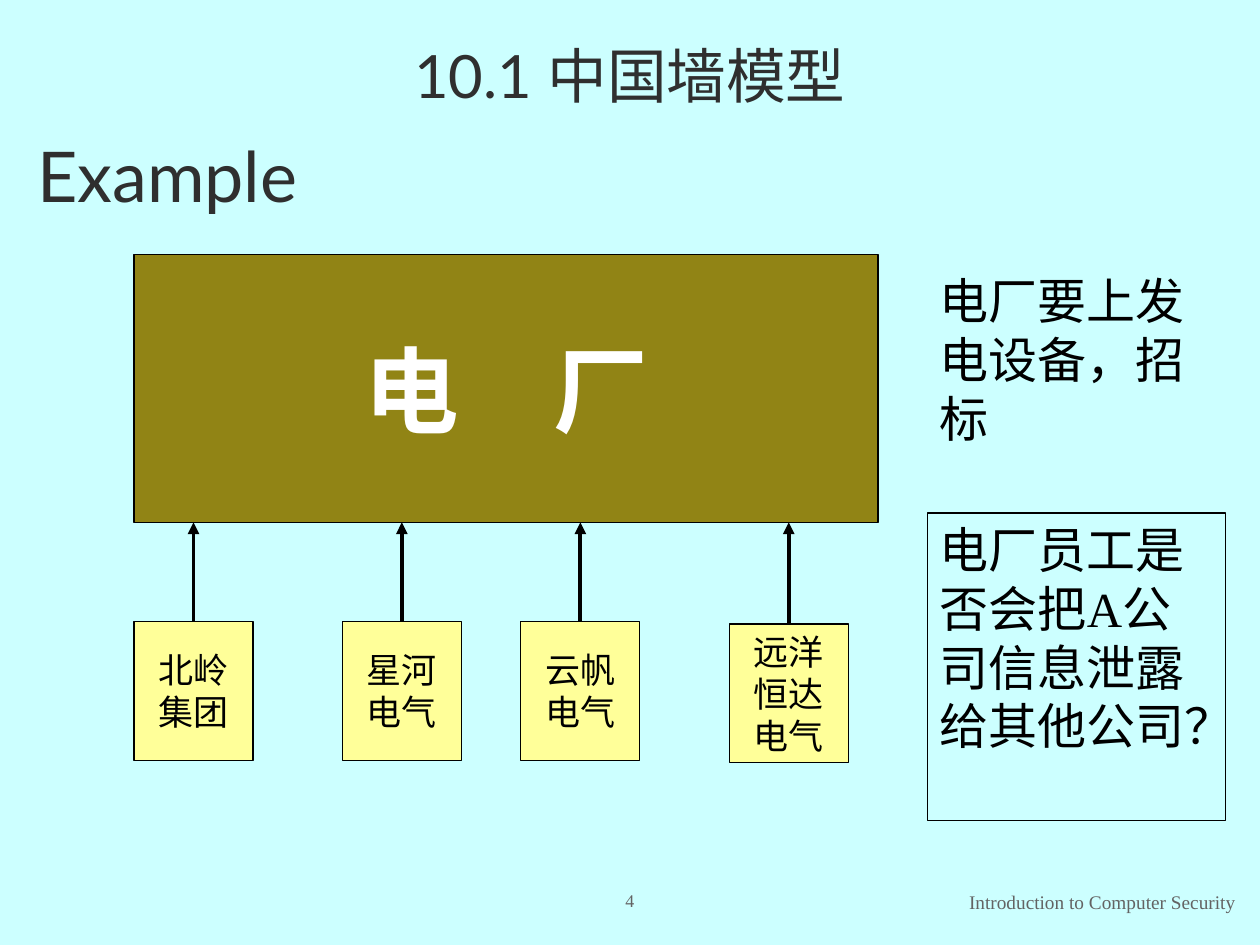
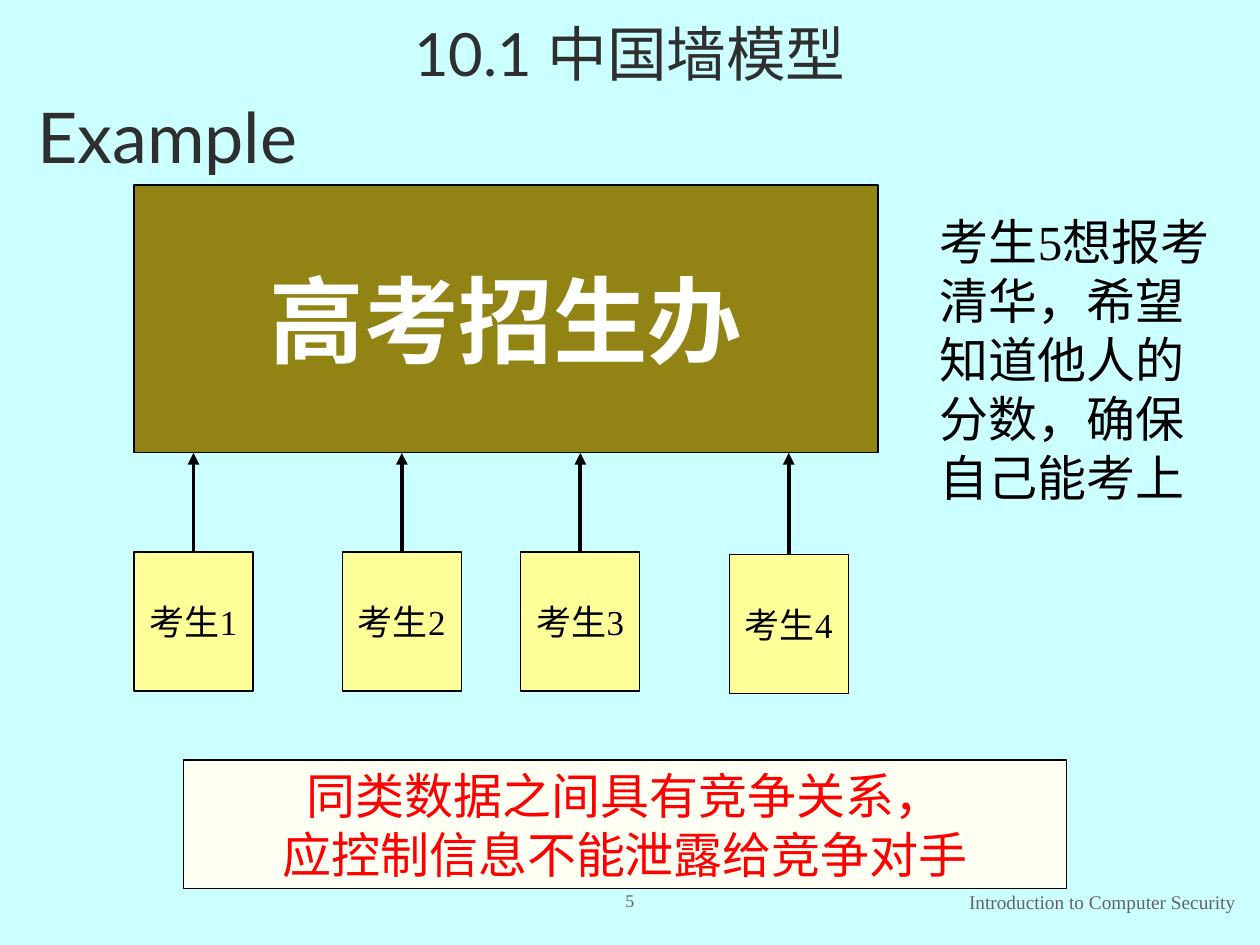
from dataclasses import dataclass
from typing import NamedTuple, Optional

from lxml import etree
from pptx import Presentation
from pptx.dml.color import RGBColor
from pptx.enum.lang import MSO_LANGUAGE_ID as Lang
from pptx.enum.shapes import MSO_CONNECTOR as Conn, MSO_SHAPE as Shp
from pptx.enum.text import MSO_ANCHOR as Anchor, PP_ALIGN as Align
from pptx.oxml.ns import qn
from pptx.util import Cm, Pt

# Shared palette and fonts
BACKGROUND, OLIVE, YELLOW, IVORY = "CCFFFF", "918415", "FFFF99", "FFFFF4"
BLACK, WHITE, RED, DARK, GREY = "000000", "FFFFFF", "FF0000", "2F2F2F", "636363"
SERIF, SANS = "Times New Roman", "Lato"


class Box(NamedTuple):
    """Left, top, width and height in centimetres."""
    left: float
    top: float
    width: float
    height: float


@dataclass(frozen=True)
class Style:
    size: float
    color: str = BLACK
    font: str = SERIF
    bold: bool = False
    align: Align = Align.CENTER
    anchor: Anchor = Anchor.MIDDLE
    spacing: float = 1.0
    inset: float = 0.25
    wrap: bool = True
    fill: Optional[str] = None
    outline: bool = False


HEADING = Style(34.1, DARK, SANS, spacing=0.8)
SUBTITLE = Style(40, DARK, SANS, align=Align.LEFT)
FOOTER = Style(11, GREY, align=Align.RIGHT)
PAGE_NUMBER = Style(10.2, GREY, spacing=0.9, inset=0.13)
HUB = Style(54, WHITE, bold=True, wrap=False, fill=OLIVE, outline=True)
PARTY = Style(20, wrap=False, fill=YELLOW, outline=True)
NOTE = Style(28, align=Align.LEFT, anchor=Anchor.TOP)
FRAMED_NOTE = Style(28, align=Align.LEFT, anchor=Anchor.TOP, outline=True)
CONCLUSION = Style(28, RED, wrap=False, fill=IVORY, outline=True)

# Diagram geometry
HUB_LEFT, HUB_WIDTH, HUB_HEIGHT = 2.7, 15.0, 5.4
PARTY_WIDTH, PARTY_HEIGHT, ARROW_LENGTH = 2.4, 2.8, 2.0
PARTY_PLACES = [(2.7, 0), (6.9, 0), (10.5, 0), (14.7, 0.05)]  # left, drop
NOTE_LEFT, NOTE_WIDTH = 18.7, 6.0


class Block(NamedTuple):
    text: str
    box: Box
    style: Style


@dataclass(frozen=True)
class Example:
    page: int
    heading_top: float
    subtitle_top: float
    hub_top: float
    hub: str
    parties: list[str]
    blocks: list[Block]


EXAMPLES = [
    Example(
        4, 0.76, 2.51, 5.13, "电　厂",
        ["北岭\n集团", "星河\n电气", "云帆\n电气", "远洋\n恒达\n电气"],
        [Block("电厂要上发电设备，招标",
               Box(NOTE_LEFT, 5.33, NOTE_WIDTH, 3.81), NOTE),
         Block("电厂员工是否会把A公司信息泄露给其他公司？",
               Box(NOTE_LEFT, 10.34, NOTE_WIDTH, 6.2), FRAMED_NOTE)]),
    Example(
        5, 0.33, 1.73, 3.73, "高考招生办",
        [f"考生{n}" for n in range(1, 5)],
        [Block("考生5想报考清华，希望知道他人的分数，确保自己能考上",
               Box(NOTE_LEFT, 4.14, NOTE_WIDTH, 7.37), NOTE),
         Block("同类数据之间具有竞争关系，\n应控制信息不能泄露给竞争对手",
               Box(3.7, 15.32, 17.8, 2.6), CONCLUSION)]),
]


def rgb(color: str) -> RGBColor:
    return RGBColor.from_string(color)


def add_block(slide, text: str, box: Box, style: Style):
    """Add a text box, or a rectangle when the style is outlined."""
    place = [Cm(v) for v in box]
    if style.outline:
        sp = slide.shapes.add_shape(Shp.RECTANGLE, *place)
        sp.shadow.inherit = False
        sp.line.color.rgb = rgb(BLACK)
        sp.line.width = Pt(0.75)
    else:
        sp = slide.shapes.add_textbox(*place)
    if style.fill:
        sp.fill.solid()
        sp.fill.fore_color.rgb = rgb(style.fill)
    else:
        sp.fill.background()

    tf = sp.text_frame
    tf.text = text
    tf.word_wrap = style.wrap
    tf.vertical_anchor = style.anchor
    tf.margin_left = tf.margin_right = Cm(style.inset)
    tf.margin_top = tf.margin_bottom = Cm(0.13)
    for p in tf.paragraphs:
        p.alignment = style.align
        p.line_spacing = style.spacing
        for r in p.runs:
            r.font.name = style.font
            r.font.size = Pt(style.size)
            r.font.bold = style.bold
            r.font.color.rgb = rgb(style.color)
            r.font.language_id = Lang.SIMPLIFIED_CHINESE
    return sp


def add_arrow(slide, party, end_y: float) -> None:
    """Draw an arrow straight up from the top of a party box."""
    x = party.left + party.width // 2
    line = slide.shapes.add_connector(Conn.STRAIGHT, x, party.top, x, Cm(end_y))
    line.begin_connect(party, 0)
    line.line.color.rgb = rgb(BLACK)
    line.line.width = Pt(2.25)
    etree.SubElement(line.line._get_or_add_ln(), qn("a:tailEnd"), type="triangle")
    etree.SubElement(line._element.spPr, qn("a:effectLst"))


def add_diagram(slide, ex: Example) -> None:
    add_block(slide, ex.hub, Box(HUB_LEFT, ex.hub_top, HUB_WIDTH, HUB_HEIGHT), HUB)
    hub_bottom = ex.hub_top + HUB_HEIGHT
    for name, (left, drop) in zip(ex.parties, PARTY_PLACES):
        box = Box(left, hub_bottom + ARROW_LENGTH + drop, PARTY_WIDTH, PARTY_HEIGHT)
        add_arrow(slide, add_block(slide, name, box, PARTY), hub_bottom)


def add_frame(slide, ex: Example) -> None:
    """Background, headings and footer."""
    slide.background.fill.solid()
    slide.background.fill.fore_color.rgb = rgb(BACKGROUND)
    add_block(slide, "10.1 中国墙模型", Box(1.27, ex.heading_top, 22.86, 1.75), HEADING)
    add_block(slide, "Example", Box(0.5, ex.subtitle_top, 22.86, 2), SUBTITLE)
    add_block(slide, "Introduction to Computer Security",
              Box(14.8, 17.78, 10.36, 0.79), FOOTER)
    add_block(slide, str(ex.page), Box(11.43, 17.78, 2.54, 0.79), PAGE_NUMBER)


def main() -> None:
    prs = Presentation()
    prs.slide_width, prs.slide_height = Cm(25.4), Cm(19.05)
    for ex in EXAMPLES:
        slide = prs.slides.add_slide(prs.slide_layouts[6])
        add_frame(slide, ex)
        add_diagram(slide, ex)
        for block in ex.blocks:
            add_block(slide, *block)
    prs.save("out.pptx")


if __name__ == "__main__":
    main()
